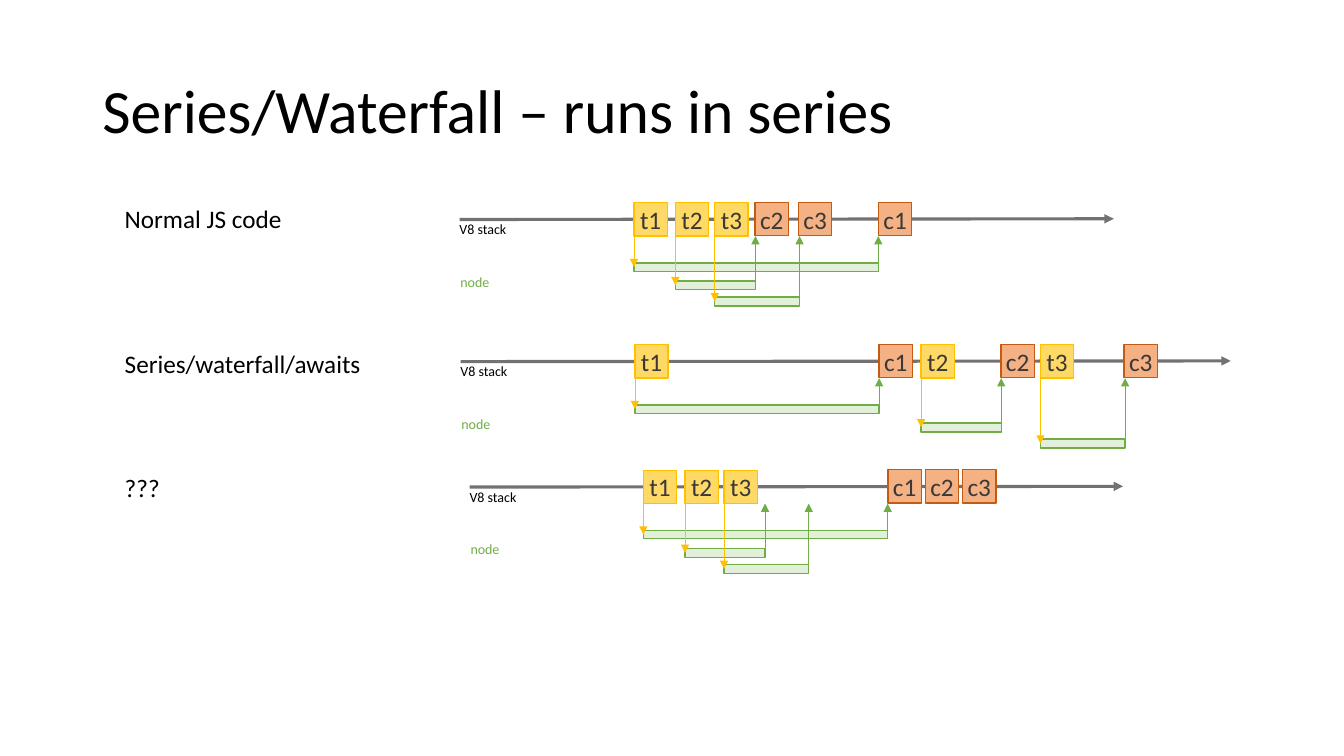
from dataclasses import dataclass

from lxml.etree import SubElement
from pptx import Presentation
from pptx.dml.color import RGBColor
from pptx.enum.shapes import MSO_CONNECTOR, MSO_SHAPE
from pptx.enum.text import MSO_ANCHOR, MSO_AUTO_SIZE, PP_ALIGN
from pptx.oxml.ns import qn
from pptx.util import Pt


@dataclass(frozen=True)
class Theme:
    font: str = "Calibri"
    title_size: float = 44
    body_size: float = 18
    small_size: float = 10
    text: str = "000000"
    box_text: str = "3B3838"
    axis: str = "767171"
    task_fill: str = "FFD966"
    task_line: str = "FFC000"
    callback_fill: str = "F4B183"
    callback_line: str = "C55A11"
    node_fill: str = "E2F0D9"
    node_line: str = "70AD47"


THEME = Theme()
BOX_SIZE = 23.8
BOX_BOTTOM = 11.8  # below the axis

# Per task: bar offset below the axis, bar width, bar height, arrow start below the axis
WAITS = [(31, 174.5, 6, 0), (43.8, 57.2, 6.4, BOX_BOTTOM), (55.4, 60.5, 6.4, -4)]

# Label, label top, label width, axis start, axis end, axis y, task lefts, callback lefts
TIMELINES = [
    ("Normal JS code", 141.8, 128, 328.3, 795.6, 156.8,
     (452.9, 482.4, 510.6), (627.5, 539.4, 570.4)),
    ("Series/waterfall/awaits", 245.5, 184, 329, 879.1, 258.3,
     (453.5, 658, 743.2), (628, 715, 803)),
    ("???", 334.1, 40, 335.5, 802.2, 347.9,
     (459.6, 489.3, 517.2), (634.3, 661, 687.6)),
]

presentation = Presentation()
presentation.slide_width, presentation.slide_height = Pt(960), Pt(540)
slide = presentation.slides.add_slide(presentation.slide_layouts[5])


def add_arrow(x1, y1, x2, y2, color, width):
    arrow = slide.shapes.add_connector(
        MSO_CONNECTOR.STRAIGHT, Pt(x1), Pt(y1), Pt(x2), Pt(y2))
    arrow.line.color.rgb = RGBColor.from_string(color)
    arrow.line.width = Pt(width)
    SubElement(arrow.line._get_or_add_ln(), qn("a:tailEnd"), type="triangle")
    SubElement(arrow._element.spPr, qn("a:effectLst"))


def add_box(left, top, width, height, fill, line, text=""):
    box = slide.shapes.add_shape(
        MSO_SHAPE.RECTANGLE, Pt(left), Pt(top), Pt(width), Pt(height))
    box.shadow.inherit = False
    box.fill.solid()
    box.fill.fore_color.rgb = RGBColor.from_string(fill)
    box.line.color.rgb = RGBColor.from_string(line)
    box.line.width = Pt(1)
    if text:
        frame = box.text_frame
        frame.margin_left = frame.margin_right = 0
        frame.vertical_anchor = MSO_ANCHOR.MIDDLE
        frame.text = text
        paragraph = frame.paragraphs[0]
        paragraph.alignment = PP_ALIGN.CENTER
        font = paragraph.runs[0].font
        font.name, font.size = THEME.font, Pt(THEME.body_size)
        font.color.rgb = RGBColor.from_string(THEME.box_text)


title = slide.shapes.title
title.left, title.top, title.width, title.height = Pt(66), Pt(28.8), Pt(828), Pt(104.4)
title.text_frame.text = "Series/Waterfall – runs in series"
title.text_frame.vertical_anchor = MSO_ANCHOR.MIDDLE
title_paragraph = title.text_frame.paragraphs[0]
title_paragraph.alignment = PP_ALIGN.LEFT
title_paragraph.line_spacing = 0.9
title_font = title_paragraph.runs[0].font
title_font.name, title_font.size = THEME.font, Pt(THEME.title_size)
title_font.color.rgb = RGBColor.from_string(THEME.text)

for label, label_top, label_width, start, end, axis_y, tasks, callbacks in TIMELINES:
    add_arrow(start, axis_y, end, axis_y - 0.5, THEME.axis, 2.25)

    for text, left, top, width, height, size, color in (
        (label, 82, label_top, label_width, 29, THEME.body_size, THEME.text),
        ("V8 stack", start - 7.2, axis_y - 2.6, 49, 19.4, THEME.small_size, THEME.text),
        ("node", start - 6.5, axis_y + 35, 35.3, 19.4, THEME.small_size, THEME.node_line),
    ):
        text_box = slide.shapes.add_textbox(Pt(left), Pt(top), Pt(width), Pt(height))
        text_box.text_frame.text = text
        text_box.text_frame.word_wrap = text == "V8 stack"
        text_box.text_frame.auto_size = MSO_AUTO_SIZE.SHAPE_TO_FIT_TEXT
        label_font = text_box.text_frame.paragraphs[0].runs[0].font
        label_font.name, label_font.size = THEME.font, Pt(size)
        label_font.color.rgb = RGBColor.from_string(color)

    box_top = axis_y + BOX_BOTTOM - BOX_SIZE
    for number, (task, callback, wait) in enumerate(zip(tasks, callbacks, WAITS), 1):
        bar_offset, bar_width, bar_height, arrow_start = wait
        bar_top = axis_y + bar_offset
        bar_middle = bar_top + bar_height / 2
        bar_right = task + bar_width
        add_box(task, box_top, BOX_SIZE, BOX_SIZE,
                THEME.task_fill, THEME.task_line, f"t{number}")
        add_box(task, bar_top, bar_width, bar_height, THEME.node_fill, THEME.node_line)
        add_arrow(task, axis_y + arrow_start, task, bar_middle, THEME.task_line, 0.5)
        add_arrow(bar_right, bar_middle, bar_right, axis_y + BOX_BOTTOM,
                  THEME.node_line, 0.5)
        add_box(callback, box_top - 0.3, BOX_SIZE, BOX_SIZE,
                THEME.callback_fill, THEME.callback_line, f"c{number}")

presentation.save("out.pptx")
